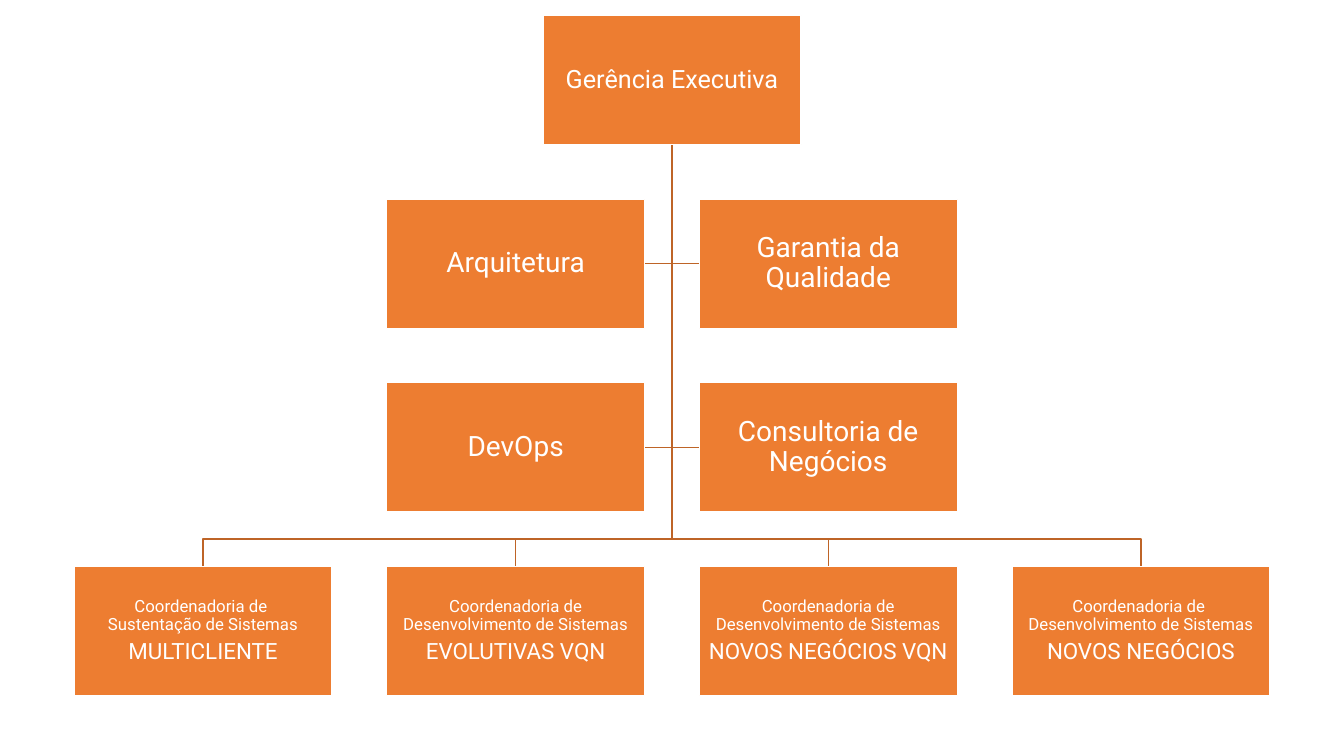
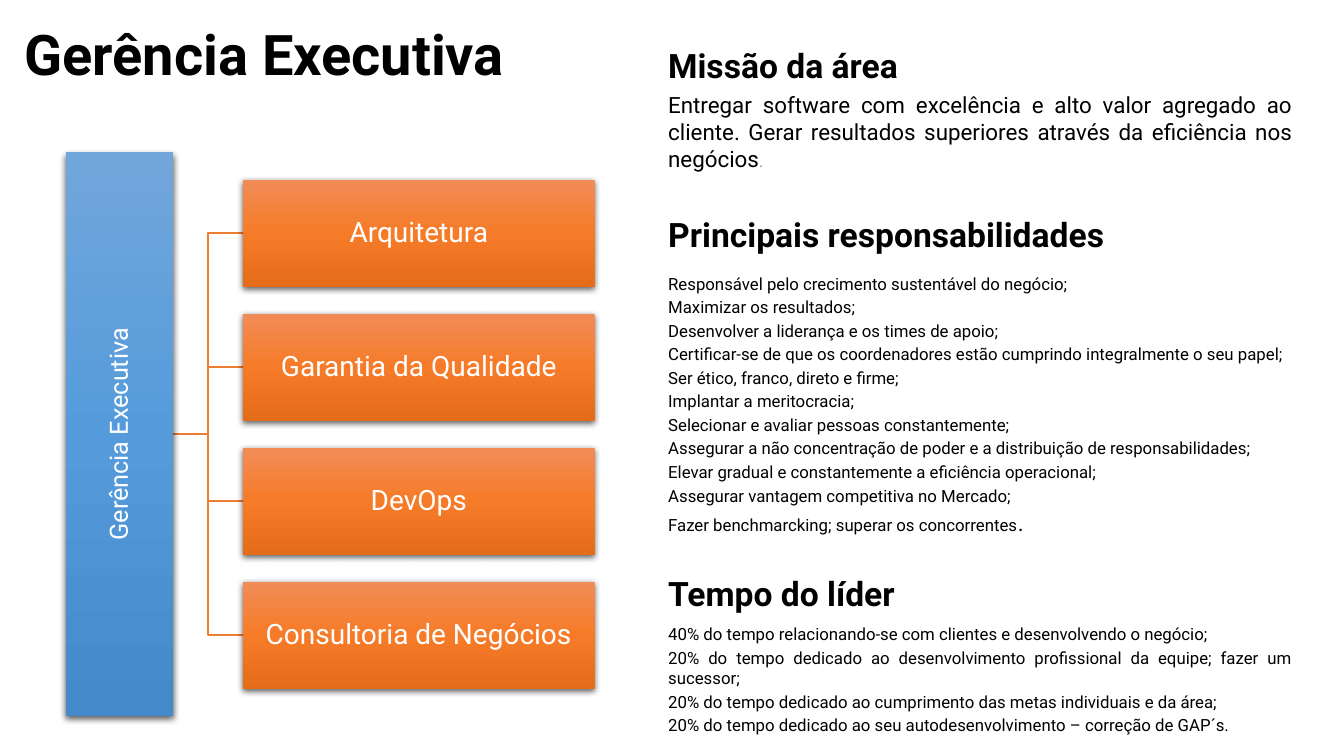
from lxml import etree
from pptx import Presentation
from pptx.dml.color import RGBColor
from pptx.enum.shapes import MSO_SHAPE
from pptx.enum.text import MSO_ANCHOR, PP_ALIGN
from pptx.oxml import parse_xml
from pptx.util import Pt

RECTANGLE = MSO_SHAPE.RECTANGLE
MIDDLE, TOP = MSO_ANCHOR.MIDDLE, MSO_ANCHOR.TOP
CENTER, JUSTIFY, LEFT = PP_ALIGN.CENTER, PP_ALIGN.JUSTIFY, PP_ALIGN.LEFT
DRAWING = "http://schemas.openxmlformats.org/drawingml/2006/main"

FONT = "Roboto"
WHITE, BLACK, GRAY = "FFFFFF", "000000", "808080"
ORANGE, DARK_ORANGE = "ED7D31", "BE6427"
ORANGE_GRADIENT = ("F18C57", "F67B28", "E56C19")
BLUE_GRADIENT = ("71A6DB", "559BDB", "448ACA")

MANAGER = "Gerência Executiva"
STAFF = ["Arquitetura", "Garantia da Qualidade", "DevOps", "Consultoria de Negócios"]
COORDINATIONS = [
    ("Coordenadoria de \nSustentação de Sistemas", "MULTICLIENTE"),
    ("Coordenadoria de\nDesenvolvimento de Sistemas", "EVOLUTIVAS VQN"),
    ("Coordenadoria de\nDesenvolvimento de Sistemas", "NOVOS NEGÓCIOS VQN"),
    ("Coordenadoria de \nDesenvolvimento de Sistemas", "NOVOS NEGÓCIOS"),
]

MISSION = [[
    ("Entregar software com excelência e alto valor agregado ao cliente. "
     "Gerar resultados superiores através da eficiência nos negócios", 16, BLACK),
    (".", 11, GRAY),
]]
RESPONSIBILITIES = [[(line, 12, BLACK)] for line in (
    "Responsável pelo crecimento sustentável do negócio;",
    "Maximizar os resultados;",
    "Desenvolver a liderança e os times de apoio;",
    "Certificar-se de que os coordenadores estão cumprindo integralmente o seu papel;",
    "Ser ético, franco, direto e firme;",
    "Implantar a meritocracia;",
    "Selecionar e avaliar pessoas constantemente;",
    "Assegurar a não concentração de poder e a distribuição de responsabilidades;",
    "Elevar gradual e constantemente a eficiência operacional;",
    "Assegurar vantagem competitiva no Mercado;",
)] + [[("Fazer benchmarcking; superar os concorrentes", 12, BLACK), (".", 16, BLACK)]]
LEADER_TIME = [[(line, 12, BLACK)] for line in (
    "40% do tempo relacionando-se com clientes e desenvolvendo o negócio;",
    "20% do tempo dedicado ao desenvolvimento profissional da equipe; fazer um sucessor;",
    "20% do tempo dedicado ao cumprimento das metas individuais e da área;",
    "20% do tempo dedicado ao seu autodesenvolvimento – correção de GAP´s.",
)]
# heading, heading top, paragraphs, text top, text height
SECTIONS = [
    ("Missão da área", 31.7, MISSION, 61.8, 41),
    ("Principais responsabilidades", 152.6, RESPONSIBILITIES, 191.8, 163.5),
    ("Tempo do líder", 409, LEADER_TIME, 442.3, 97.7),
]


def color(value):
    return RGBColor.from_string(value)


def set_all(target, values):
    for name, value in values.items():
        setattr(target, name, value)


def write(box, paragraphs, align, anchor=TOP, inset=None, bold=False, **spacing):
    """Fill a box with paragraphs, each a list of (text, size, color) spans."""
    frame = box.text_frame
    set_all(frame, {"word_wrap": True, "vertical_anchor": anchor})
    if inset is not None:
        sides = ("left", "right", "top", "bottom")
        set_all(frame, {f"margin_{side}": Pt(inset) for side in sides})
    for index, spans in enumerate(paragraphs):
        para = frame.add_paragraph() if index else frame.paragraphs[0]
        set_all(para, {"alignment": align, **spacing})
        for text, size, ink in spans:
            for number, line in enumerate(text.split("\n")):
                if number:
                    para.add_line_break()
                span = para.add_run()
                span.text = line
                set_all(span.font, {"name": FONT, "size": Pt(size), "bold": bold})
                span.font.color.rgb = color(ink)


def add_text(page, left, top, width, height, paragraphs, align, **options):
    box = page.shapes.add_textbox(Pt(left), Pt(top), Pt(width), Pt(height))
    write(box, paragraphs, align, **options)


def add_heading(page, text, left, top, width, height, size):
    add_text(page, left, top, width, height, [[(text, size, BLACK)]], LEFT,
             bold=True, line_spacing=0.9)


def add_block(page, left, top, width, height, paragraphs):
    block = page.shapes.add_shape(RECTANGLE, Pt(left), Pt(top), Pt(width), Pt(height))
    block.shadow.inherit = False
    first_size = paragraphs[0][0][1]
    write(block, paragraphs, CENTER, MIDDLE, inset=0.9, line_spacing=0.9,
          space_after=Pt(first_size * 0.35))
    return block


def add_route(page, points, ink):
    """Draw an open angled line through the points."""
    corners = [(Pt(x), Pt(y)) for x, y in points]
    builder = page.shapes.build_freeform(*corners[0])
    builder.add_line_segments(corners[1:], close=False)
    route = builder.convert_to_shape()
    route.shadow.inherit = False
    route.fill.background()
    route.line.color.rgb = color(ink)
    route.line.width = Pt(1)


def add_depth(block, colors):
    """Give a block a top-to-bottom gradient and a soft shadow below."""
    block.line.fill.background()
    block.fill.background()
    properties = block._element.spPr
    stops = "".join(
        f'<a:gs pos="{index * 50000}"><a:srgbClr val="{value}"/></a:gs>'
        for index, value in enumerate(colors))
    gradient = parse_xml(
        f'<a:gradFill xmlns:a="{DRAWING}"><a:gsLst>{stops}</a:gsLst>'
        '<a:lin ang="5400000" scaled="0"/></a:gradFill>')
    properties.replace(properties.find(f"{{{DRAWING}}}noFill"), gradient)
    effects = properties.find(f"{{{DRAWING}}}effectLst")
    shadow = etree.SubElement(effects, f"{{{DRAWING}}}outerShdw", blurRad=str(Pt(4.5)),
                              dist=str(Pt(1.5)), dir="5400000", rotWithShape="0")
    ink = etree.SubElement(shadow, f"{{{DRAWING}}}srgbClr", val=BLACK)
    etree.SubElement(ink, f"{{{DRAWING}}}alpha", val="63000")


def build_organization(page):
    center, first_top = 480, 11.2
    width, height, column_step, row_step = 184.4, 92.2, 223.3, 131.1
    root_bottom = first_top + height

    def column_center(column):
        return center + (column - 1.5) * column_step

    def row_top(row):
        return first_top + row * row_step

    def place(column, row, paragraphs):
        block = add_block(page, column_center(column) - width / 2, row_top(row),
                          width, height, paragraphs)
        block.fill.solid()
        block.fill.fore_color.rgb = color(ORANGE)
        block.line.color.rgb = color(WHITE)
        block.line.width = Pt(1)

    staff_cells = [(1 + index % 2, 1 + index // 2) for index in range(len(STAFF))]
    start = (center, root_bottom)
    for column, row in staff_cells:
        middle = row_top(row) + height / 2
        side = 1 if column == 2 else -1
        edge = column_center(column) - side * width / 2
        add_route(page, [start, (center, middle), (edge, middle)], DARK_ORANGE)
    bottom_top = row_top(3)
    bus = bottom_top - (row_step - height) / 2
    for column in range(len(COORDINATIONS)):
        x = column_center(column)
        add_route(page, [start, (center, bus), (x, bus), (x, bottom_top)], DARK_ORANGE)

    place(1.5, 0, [[(MANAGER, 18, WHITE)]])
    for column, (unit, name) in enumerate(COORDINATIONS):
        place(column, 3, [[(unit, 12, WHITE)], [(name, 16, WHITE)]])
    for (column, row), name in zip(staff_cells, STAFF):
        place(column, row, [[(name, 20, WHITE)]])


def build_management(page):
    bar_left, bar_top, bar_width, bar_height = 47.2, 108.8, 76.5, 402.7
    staff_left, staff_width, staff_height, staff_step = 173.6, 251.2, 76.5, 95.7
    bar_right, bar_middle = bar_left + bar_width, bar_top + bar_height / 2
    elbow = (bar_right + staff_left) / 2
    middles = [bar_middle + (index - (len(STAFF) - 1) / 2) * staff_step
               for index in range(len(STAFF))]

    add_heading(page, MANAGER, 10.3, 15.8, 450, 51, 40)
    for middle in middles:
        add_route(page, [(bar_right, bar_middle), (elbow, bar_middle),
                         (elbow, middle), (staff_left, middle)], ORANGE)
    bar = add_block(page, bar_left, bar_top, bar_width, bar_height,
                    [[(MANAGER, 18, WHITE)]])
    bar.text_frame._txBody.bodyPr.set("vert", "vert270")
    add_depth(bar, BLUE_GRADIENT)
    for middle, name in zip(middles, STAFF):
        block = add_block(page, staff_left, middle - staff_height / 2,
                          staff_width, staff_height, [[(name, 20, WHITE)]])
        add_depth(block, ORANGE_GRADIENT)

    text_left, text_width = 470.2, 460
    for heading, heading_top, paragraphs, top, height in SECTIONS:
        add_heading(page, heading, text_left, heading_top, text_width, 33, 24)
        size = paragraphs[0][0][1]
        add_text(page, text_left, top, text_width, height, paragraphs, JUSTIFY,
                 space_before=Pt(size * 0.2))


def main():
    deck = Presentation()
    deck.slide_width, deck.slide_height = Pt(960), Pt(540)
    blank = deck.slide_layouts[6]
    for build in (build_organization, build_management):
        build(deck.slides.add_slide(blank))
    deck.save("out.pptx")


if __name__ == "__main__":
    main()
